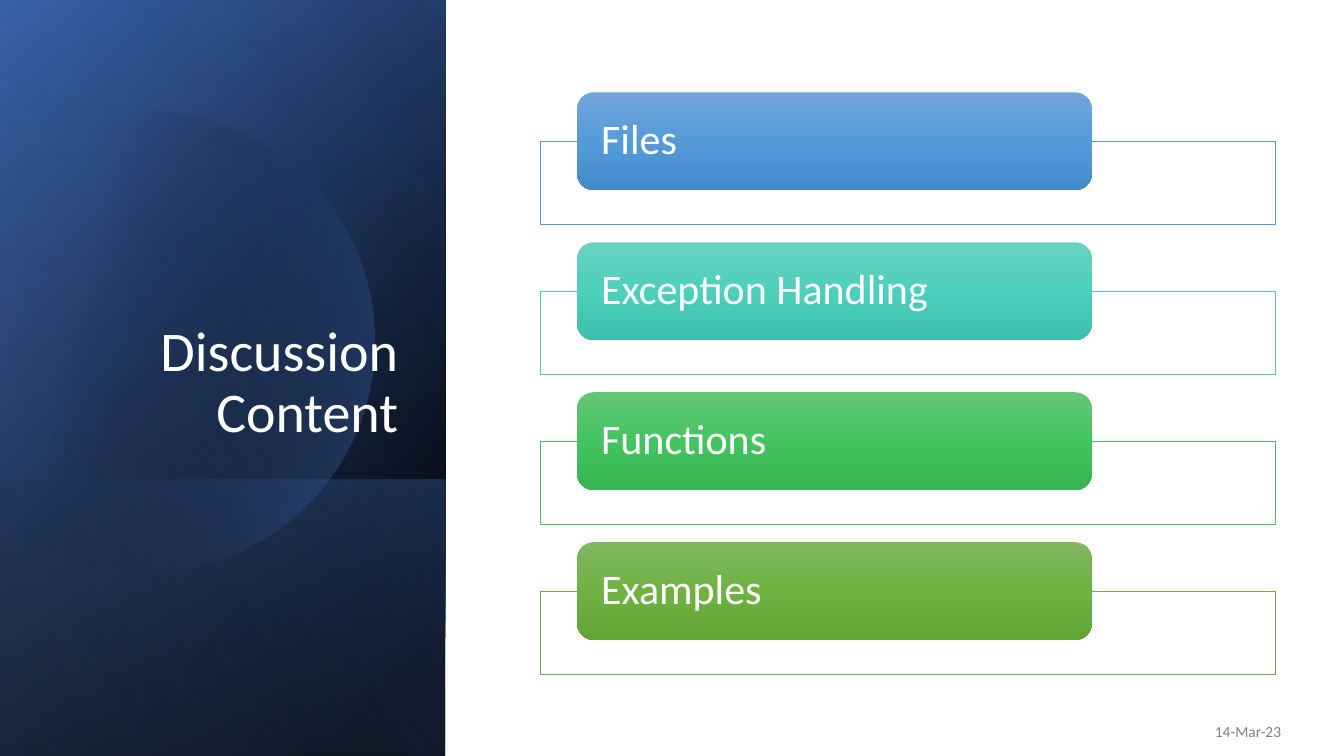
import math
from dataclasses import dataclass
from lxml import etree
from pptx import Presentation
from pptx import util as u
from pptx.dml import color
from pptx.enum import shapes, text
from pptx.oxml import ns

Pt = u.Pt


@dataclass(frozen=True)
class Theme:
    font: str = "Calibri"
    white: str = "FFFFFF"
    black: str = "000000"
    blue: str = "4472C4"
    deep_blue: str = "2F5597"
    pale_blue: str = "8FAADC"
    gray: str = "808080"
    topic_edges: tuple = ("5B9BD5", "52CAB8", "49BF64", "70AD47")
    topic_shades: tuple = (  # top, middle, bottom
        ("71A6DB", "559BDB", "448ACA"),
        ("6AD1C0", "4CD0BC", "3CC0AC"),
        ("64C677", "44C460", "36B552"),
        ("81B861", "6FB242", "62A336"),
    )
    title_size: int = 40
    card_size: int = 30
    date_size: int = 11


class SlideBuilder:
    def __init__(self, prs, theme):
        self.theme = theme
        self.slide = prs.slides.add_slide(prs.slide_layouts[5])
        self.shapes = self.slide.shapes

    def gradient(self, sp, stops, angle):
        """Fill with (position %, colour, opacity %) stops, without outline."""
        sp.shadow.inherit = False
        sp.line.fill.background()
        sp.fill.background()
        grad = etree.Element(ns.qn("a:gradFill"), rotWithShape="1")
        stop_list = etree.SubElement(grad, ns.qn("a:gsLst"))
        for position, rgb, opacity in stops:
            gs = etree.SubElement(stop_list, ns.qn("a:gs"), pos=str(position * 1000))
            clr = etree.SubElement(gs, ns.qn("a:srgbClr"), val=rgb)
            if opacity < 100:
                etree.SubElement(clr, ns.qn("a:alpha"), val=str(opacity * 1000))
        etree.SubElement(grad, ns.qn("a:lin"), ang=str(angle * 60000), scaled="0")
        no_fill = sp._element.spPr.find(ns.qn("a:noFill"))
        no_fill.getparent().replace(no_fill, grad)

    def side_panel(self, top, height, width, stops, angle):
        """Panel on the left edge, turned a quarter so its gradient turns too."""
        left, turned_top = (width - height) / 2, top + (height - width) / 2
        sp = self.shapes.add_shape(shapes.MSO_SHAPE.RECTANGLE, Pt(left),
                                   Pt(turned_top), Pt(height), Pt(width))
        sp.rotation = 90
        sp._element.spPr.find(ns.qn("a:xfrm")).set("flipH", "1")
        self.gradient(sp, stops, angle)

    def cut_disc(self, cx, cy, radius, cut_x, stops, angle):
        """Disc cut off by a vertical line at cut_x."""
        end = math.degrees(math.acos((cut_x - cx) / radius))
        steps = 90
        turns = [math.radians(-end + 2 * end * i / steps) for i in range(steps + 1)]
        points = [(Pt(cx + radius * math.cos(t)), Pt(cy + radius * math.sin(t)))
                  for t in turns]
        outline = self.shapes.build_freeform(*points[0])
        outline.add_line_segments(points[1:], close=True)
        self.gradient(outline.convert_to_shape(), stops, angle)

    def set_text(self, sp, words, size, rgb, align, anchor, line_spacing=1.0, after=0):
        tf = sp.text_frame
        tf.word_wrap = True
        tf.auto_size = text.MSO_AUTO_SIZE.NONE
        tf.vertical_anchor = anchor
        p = tf.paragraphs[0]
        p.text = words
        p.alignment = align
        p.line_spacing = line_spacing
        p.space_after = Pt(after)
        p.font.name = self.theme.font
        p.font.size = Pt(size)
        p.font.color.rgb = color.RGBColor.from_string(rgb)
        return tf

    def title(self, words, left, top, width, height):
        sp = self.shapes.title
        sp.left, sp.top, sp.width, sp.height = map(Pt, (left, top, width, height))
        self.set_text(sp, words, self.theme.title_size, self.theme.white,
                      text.PP_ALIGN.RIGHT, text.MSO_ANCHOR.BOTTOM, 0.9)
        self.shapes._spTree.append(sp._element)  # in front of the panels

    def date(self, words, left, top, width, height):
        sp = self.shapes.add_textbox(*map(Pt, (left, top, width, height)))
        self.set_text(sp, words, self.theme.date_size, self.theme.gray,
                      text.PP_ALIGN.RIGHT, text.MSO_ANCHOR.MIDDLE, after=6)

    def frame(self, left, top, width, height, rgb):
        sp = self.shapes.add_shape(shapes.MSO_SHAPE.RECTANGLE,
                                   *map(Pt, (left, top, width, height)))
        sp.shadow.inherit = False
        sp.fill.solid()
        sp.fill.fore_color.rgb = color.RGBColor.from_string(self.theme.white)
        sp.line.color.rgb = color.RGBColor.from_string(rgb)
        sp.line.width = Pt(0.5)

    def card(self, words, left, top, width, height, shades):
        sp = self.shapes.add_shape(shapes.MSO_SHAPE.ROUNDED_RECTANGLE,
                                   *map(Pt, (left, top, width, height)))
        self.gradient(sp, [(pos, rgb, 100) for pos, rgb in zip((0, 50, 100), shades)], 90)
        tf = self.set_text(sp, words, self.theme.card_size, self.theme.white,
                           text.PP_ALIGN.LEFT, text.MSO_ANCHOR.MIDDLE, 0.9)
        tf.margin_left = tf.margin_right = Pt(13.7)
        tf.margin_top = tf.margin_bottom = 0


def main():
    prs = Presentation()
    prs.slide_width, prs.slide_height = Pt(960), Pt(540)
    theme = Theme()
    s = SlideBuilder(prs, theme)

    # Layered side panel
    width = 318.2
    s.side_panel(0, 540, width, [(8, theme.black, 100), (100, theme.deep_blue, 100)], 50)
    s.side_panel(0, 540, width, [(0, theme.black, 0), (99, theme.blue, 46)], 30)
    s.side_panel(342.7, 197.3, width, [(2, theme.blue, 29), (100, theme.black, 30)], 130)
    s.cut_disc(102.2, 244, 165, -11, [(29, theme.black, 0), (100, theme.blue, 43)], 14)
    s.side_panel(0, 540, width, [(0, theme.black, 0), (99, theme.pale_blue, 11)], 120)

    # Title and date
    s.title("Discussion Content", 46.1, 132.5, 245.5, 188.6)
    s.date("14-Mar-23", 706.3, 508.3, 216, 28.8)

    # Topic cards, each over its frame
    topics = ["Files", "Exception Handling", "Functions", "Examples"]
    card_height = 69.8
    rows = zip(topics, theme.topic_edges, theme.topic_shades)
    for row, (topic, edge, shades) in enumerate(rows):
        top = 66 + row * 107.1
        s.frame(386, top + card_height / 2, 525, 59.5, edge)
        s.card(topic, 412.3, top, 367.5, card_height, shades)

    prs.save("out.pptx")


if __name__ == "__main__":
    main()
